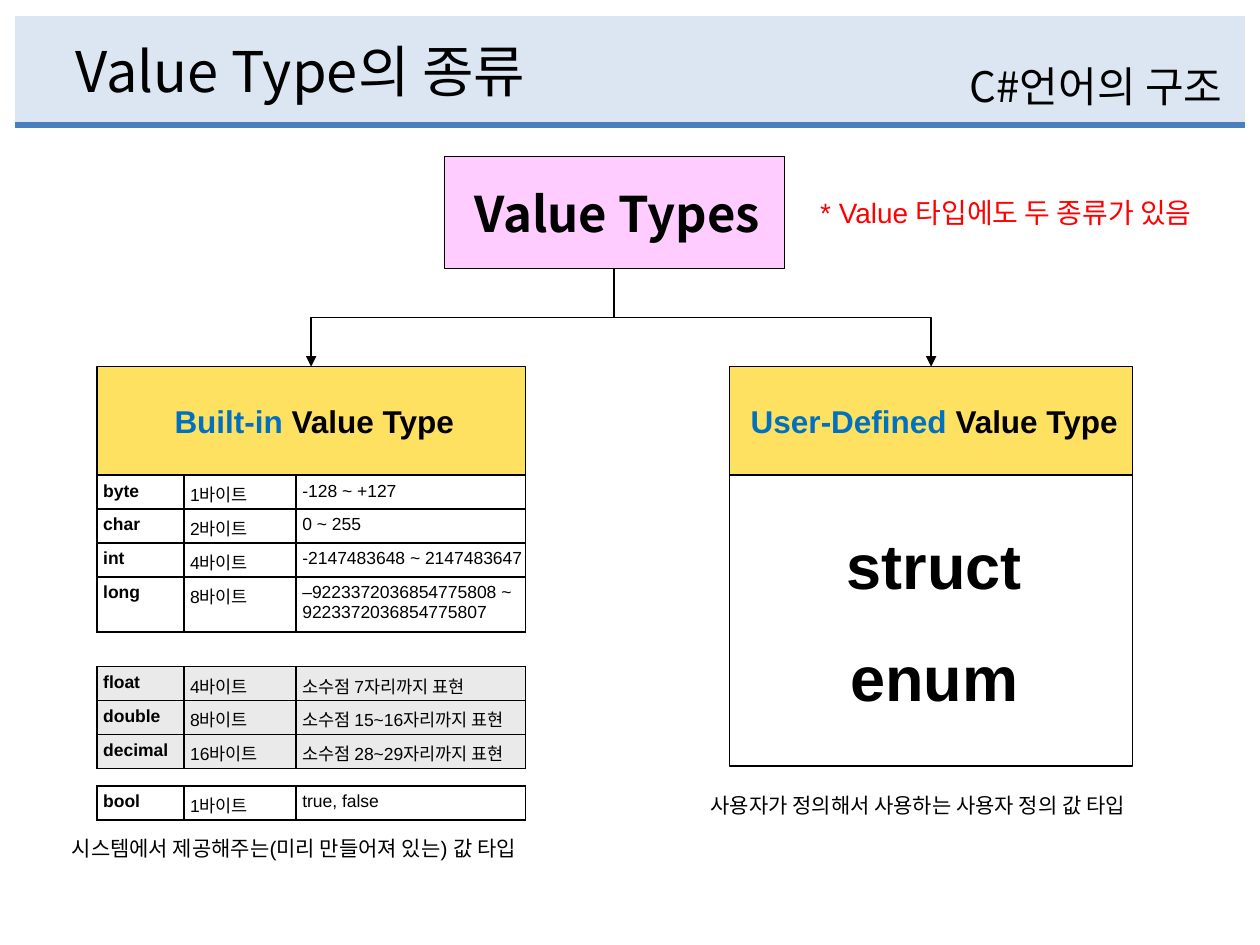
from pptx import Presentation
from pptx.util import Pt
from pptx.dml.color import RGBColor
from pptx.enum.shapes import MSO_SHAPE as Shape, MSO_CONNECTOR as Conn
from pptx.enum.text import PP_ALIGN as Align, MSO_ANCHOR as Anchor, MSO_AUTO_SIZE as Auto
from pptx.oxml import parse_xml
from pptx.oxml.ns import nsdecls, qn
from lxml.etree import SubElement

NOTO, ARIAL = "Noto Sans CJK KR", "Arial"
INSET = 3.6


def rgb(code):
    return RGBColor.from_string(code)


def style(frame, size, face, bold=False, color="000000", align=Align.LEFT):
    """Format every run; paragraphs after the first get half a line before."""
    for i, para in enumerate(frame.paragraphs):
        para.alignment = align
        para.space_before = Pt(size * 0.57 if i else 0)
        for run in para.runs:
            font = run.font
            font.size, font.bold, font.name = Pt(size), bold, face
            font.color.rgb = rgb(color)
            if face == NOTO:
                SubElement(font._element, qn("a:ea")).set("typeface", face)


prs = Presentation()
prs.slide_width, prs.slide_height = Pt(720), Pt(540)
slide = prs.slides.add_slide(prs.slide_layouts[5])
shapes = slide.shapes

# Header band and its rule
band = shapes.add_shape(Shape.RECTANGLE, Pt(8.64), Pt(9.2), Pt(702.72), Pt(62.5))
band.shadow.inherit = False
band.fill.solid()
band.fill.fore_color.rgb = rgb("DCE6F2")
band.line.fill.background()
rule = shapes.add_connector(Conn.STRAIGHT, Pt(8.64), Pt(71.5), Pt(711.36), Pt(71.5))
rule.line.color.rgb, rule.line.width = rgb("4B7EBC"), Pt(3)
SubElement(rule._element.spPr, qn("a:effectLst"))

title = shapes.title
title.left, title.top, title.width, title.height = Pt(36), Pt(9.2), Pt(528), Pt(61.2)
title.text_frame.text = "Value Type의 종류"
title.text_frame.vertical_anchor = Anchor.MIDDLE
style(title.text_frame, 32, NOTO)
shapes._spTree.append(title._element)  # bring in front of the band

topic = shapes.add_textbox(Pt(433.4), Pt(31), Pt(272.2), Pt(39.6)).text_frame
topic.word_wrap = True
topic.text = "C#언어의 구조"
style(topic, 24, NOTO, align=Align.RIGHT)

# Boxes of the tree: left, top, width, height, fill, line, text, size, font, blue part
LEFT, RIGHT, TOP, WIDE = 55.4, 416.9, 209.5, 244.8
boxes = [
    (253.7, 89.5, 194.4, 64, "FFCCFF", 0.25, "Value Types", 28, NOTO, ""),
    (LEFT, TOP, WIDE, 61.9, "FFE161", 0.75, " Value Type", 18, ARIAL, "Built-in"),
    (RIGHT, TOP, 230.4, 61.9, "FFE161", 0.75, " Value Type", 18, ARIAL, "User-Defined"),
    (RIGHT, 271.4, 230.4, 166.3, None, 0.75, "struct\nenum", 36, ARIAL, ""),
]
for x, y, w, h, fill, line, text, size, face, blue in boxes:
    box = shapes.add_shape(Shape.RECTANGLE, Pt(x), Pt(y), Pt(w), Pt(h))
    box.shadow.inherit = False
    if fill:
        box.fill.solid()
        box.fill.fore_color.rgb = rgb(fill)
    else:
        box.fill.background()
    box.line.color.rgb, box.line.width = rgb("000000"), Pt(line)
    frame = box.text_frame
    frame.margin_left = frame.margin_top = frame.margin_bottom = Pt(INSET)
    frame.margin_right = 0
    frame.vertical_anchor = Anchor.MIDDLE
    frame.text = blue or text
    if blue:
        frame.paragraphs[0].add_run().text = text
    style(frame, size, face, True, align=Align.CENTER)
    if blue:
        frame.paragraphs[0].runs[0].font.color.rgb = rgb("0070C0")

# Elbow arrows: drawn lying down, then turned to run from top to bottom
ROOT, BASE = 350.9, 153.5
drop, mid = TOP - BASE, (TOP + BASE) / 2
for end, turn in ((LEFT + WIDE / 2, 90), (RIGHT + 115.2, 270)):
    cx, half = (ROOT + end) / 2, abs(end - ROOT) / 2
    side = drop / 2 if turn == 90 else -drop / 2
    arrow = shapes.add_connector(Conn.ELBOW, Pt(cx - side), Pt(mid - half),
                                 Pt(cx + side), Pt(mid + half))
    arrow.line.color.rgb, arrow.line.width = rgb("000000"), Pt(1)
    prop = arrow._element.spPr
    prop.find(qn("a:xfrm")).set("rot", str(turn * 60000))
    SubElement(prop.find(qn("a:ln")), qn("a:tailEnd")).set("type", "triangle")
    SubElement(prop, qn("a:effectLst"))

# Notes
notes = [
    (465.1, 108, 239.8, 26.6, "* Value 타입에도 두 종류가 있음", 16, "FF0000"),
    (37.4, 473.8, 287.3, 22.3, "시스템에서 제공해주는(미리 만들어져 있는) 값 타입", 12, "000000"),
    (402.5, 449.3, 272.2, 22.3, "사용자가 정의해서 사용하는 사용자 정의 값 타입", 12, "000000"),
]
for x, y, w, h, text, size, color in notes:
    frame = shapes.add_textbox(Pt(x), Pt(y), Pt(w), Pt(h)).text_frame
    frame.word_wrap, frame.auto_size = False, Auto.SHAPE_TO_FIT_TEXT
    frame.margin_left = frame.margin_top = frame.margin_bottom = Pt(INSET)
    frame.margin_right = 0
    frame.text = text
    style(frame, size, ARIAL, color=color)

# Built-in types: top, fill, row heights, rows
ROW = 19.44
tables = [
    (271.4, None, [ROW, ROW, ROW, 31.5], [
        ("byte", "1바이트", "-128 ~ +127"),
        ("char", "2바이트", "0 ~ 255"),
        ("int", "4바이트", "-2147483648 ~ 2147483647"),
        ("long", "8바이트", "–9223372036854775808 ~ 9223372036854775807")]),
    (380.9, "EAEAEA", [ROW] * 3, [
        ("float", "4바이트", "소수점 7자리까지 표현"),
        ("double", "8바이트", "소수점 15~16자리까지 표현"),
        ("decimal", "16바이트", "소수점 28~29자리까지 표현")]),
    (449.1, None, [ROW], [("bool", "1바이트", "true, false")]),
]
for top, fill, heights, rows in tables:
    table = shapes.add_table(len(rows), 3, Pt(LEFT), Pt(top), Pt(WIDE), Pt(sum(heights))).table
    table.first_row = table.horz_banding = False
    for col, w in zip(table.columns, (49.7, 64.1, 131)):
        col.width = Pt(w)
    for r, (h, row) in enumerate(zip(heights, rows)):
        table.rows[r].height = Pt(h)
        for c, text in enumerate(row):
            cell = table.cell(r, c)
            cell.margin_left = cell.margin_top = cell.margin_bottom = Pt(INSET)
            cell.margin_right = 0
            for edge in "LRTB":
                cell._tc.get_or_add_tcPr().append(parse_xml(
                    f'<a:ln{edge} w="12700" {nsdecls("a")}><a:solidFill>'
                    f'<a:srgbClr val="000000"/></a:solidFill></a:ln{edge}>'))
            if fill:
                cell.fill.solid()
                cell.fill.fore_color.rgb = rgb(fill)
            else:
                cell.fill.background()
            cell.text_frame.text = text
            style(cell.text_frame, 10, ARIAL, c == 0)

prs.save("out.pptx")
